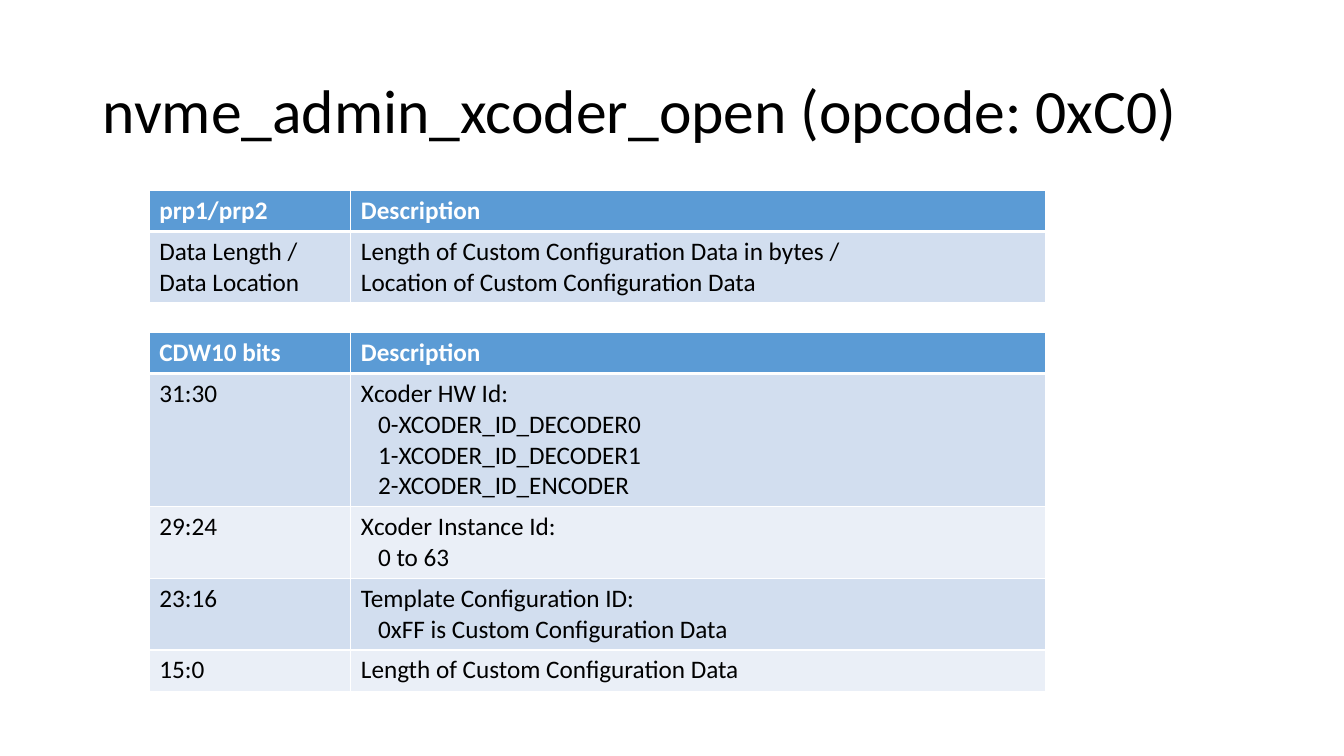
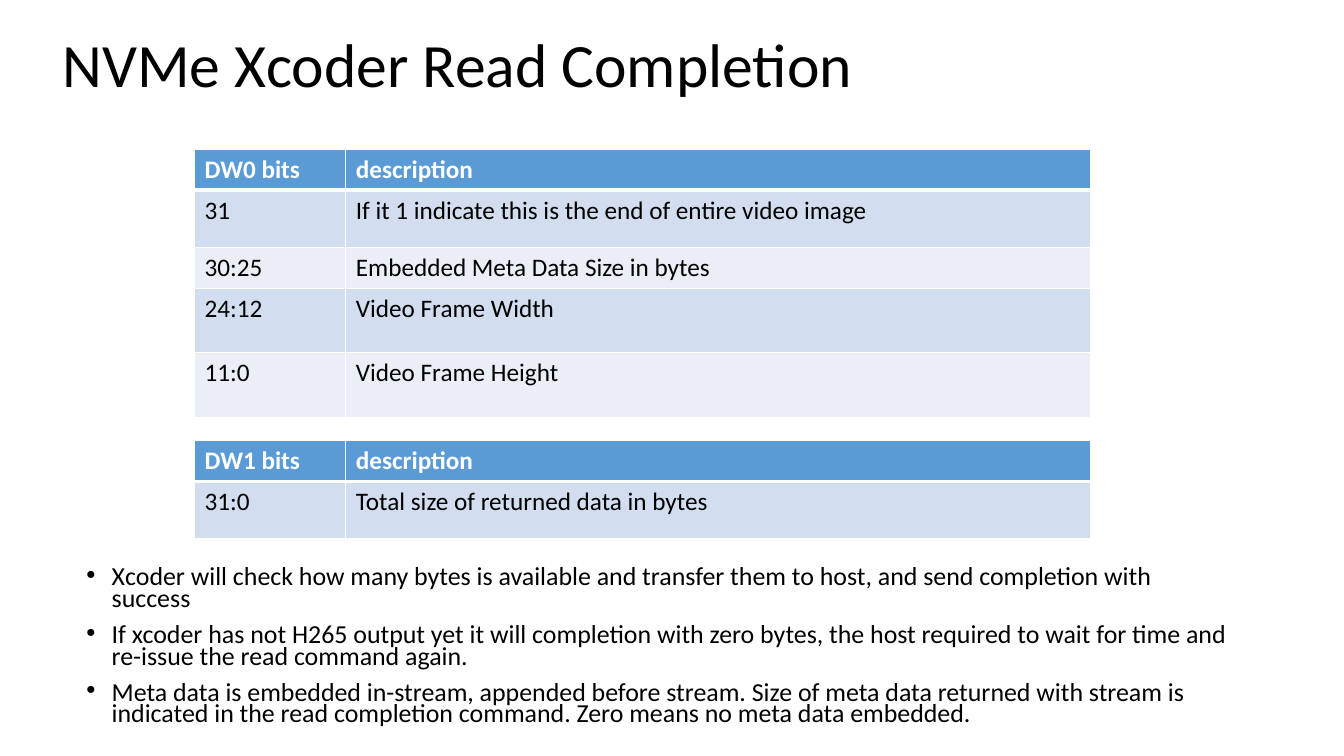
import dataclasses
import typing

import lxml.etree
import pptx
import pptx.dml.color
import pptx.enum.text
import pptx.oxml.ns
import pptx.util

EMU_PER_PX = 9144


@dataclasses.dataclass(frozen=True)
class Theme:
    font: str = "Calibri"
    text: str = "000000"
    light: str = "FFFFFF"
    header: str = "5B9BD5"
    bands: tuple[str, str] = ("D2DEEF", "EAEFF7")
    title_size: float = 44
    table_size: float = 18
    body_size: float = 18.5
    thin: float = 1
    thick: float = 3


THEME = Theme()


class Box(typing.NamedTuple):
    left: int
    top: int
    width: int
    height: int


class Row(typing.NamedTuple):
    height: int
    key: str
    lines: tuple[str, ...]
    indent: int = 0


@dataclasses.dataclass(frozen=True)
class BitTable:
    left: int
    top: int
    columns: tuple[int, int]
    rows: tuple[Row, ...]


@dataclasses.dataclass(frozen=True)
class Page:
    title: str
    title_box: Box
    tables: tuple[BitTable, ...]
    bullet_box: Box | None = None
    bullets: tuple[str, ...] = ()


PAGES = (
    Page(
        "nvme_admin_xcoder_open (opcode: 0xC0)",
        Box(92, 40, 1150, 145),
        (
            BitTable(148, 189, (200, 689), (
                Row(40, "prp1/prp2", ("Description",)),
                Row(71, "Data Length / Data Location", (
                    "Length of Custom Configuration Data in bytes /",
                    "Location of Custom Configuration Data",
                )),
            )),
            BitTable(148, 330, (200, 689), (
                Row(40, "CDW10 bits", ("Description",)),
                Row(132, "31:30", (
                    "Xcoder HW Id:",
                    "0-XCODER_ID_DECODER0",
                    "1-XCODER_ID_DECODER1",
                    "2-XCODER_ID_ENCODER",
                ), 17),
                Row(71, "29:24", ("Xcoder Instance Id:", "0 to 63"), 17),
                Row(71, "23:16", (
                    "Template Configuration ID:",
                    "0xFF is Custom Configuration Data",
                ), 17),
                Row(41, "15:0", ("Length of Custom Configuration Data",)),
            )),
        ),
    ),
    Page(
        "NVMe Xcoder Read Completion",
        Box(52, 2, 1150, 130),
        (
            BitTable(193, 148, (150, 739), (
                Row(40, "DW0 bits", ("description",)),
                Row(57, "31", ("If it 1 indicate this is the end of entire video image",)),
                Row(40, "30:25", ("Embedded Meta Data Size in bytes",)),
                Row(64, "24:12", ("Video Frame Width",)),
                Row(64, "11:0", ("Video Frame Height",)),
            )),
            BitTable(193, 437, (150, 739), (
                Row(40, "DW1 bits", ("description",)),
                Row(57, "31:0", ("Total size of returned data in bytes",)),
            )),
        ),
        Box(76, 559, 1150, 189),
        (
            "Xcoder will check how many bytes is available and transfer them to host, "
            "and send completion with success",
            "If xcoder has not H265 output yet it will completion with zero bytes, "
            "the host required to wait for time and re-issue the read command again.",
            "Meta data is embedded in-stream, appended before stream. "
            "Size of meta data returned with stream is indicated in the read completion "
            "command. Zero means no meta data embedded.",
        ),
    ),
)


def px(value: int) -> pptx.util.Emu:
    return pptx.util.Emu(value * EMU_PER_PX)


def rgb(value: str) -> pptx.dml.color.RGBColor:
    return pptx.dml.color.RGBColor.from_string(value)


def add_element(parent, tag: str, **attributes: str):
    return lxml.etree.SubElement(parent, pptx.oxml.ns.qn(tag), attributes)


def write_text(
    tf,
    lines: typing.Sequence[str],
    *,
    size: float,
    color: str = THEME.text,
    bold: bool = False,
    spacing: float | None = None,
    gap: float = 0,
    indent: int = 0,
    bullet: str = "",
) -> None:
    for index, line in enumerate(lines):
        p = tf.add_paragraph() if index else tf.paragraphs[0]
        p.alignment = pptx.enum.text.PP_ALIGN.LEFT
        if spacing:
            p.line_spacing = spacing
        if index and gap:
            p.space_before = pptx.util.Pt(gap)
        props = p._p.get_or_add_pPr()
        if indent and (index or bullet):
            props.set("marL", str(px(indent)))
        if bullet:
            props.set("indent", str(px(-indent)))
            add_element(props, "a:buFont", typeface="Arial")
            add_element(props, "a:buChar", char=bullet)
        r = p.add_run()
        r.text = line
        r.font.name = THEME.font
        r.font.size = pptx.util.Pt(size)
        r.font.bold = bold
        r.font.color.rgb = rgb(color)


def set_borders(cell, top: float, bottom: float) -> None:
    widths = {"L": THEME.thin, "R": THEME.thin, "T": top, "B": bottom}
    props = cell._tc.get_or_add_tcPr()
    for side, width in widths.items():
        line = add_element(props, f"a:ln{side}", w=str(pptx.util.Pt(width)))
        add_element(add_element(line, "a:solidFill"), "a:srgbClr", val=THEME.light)


def add_bit_table(slide, bit_table: BitTable) -> None:
    rows = bit_table.rows
    table = slide.shapes.add_table(
        len(rows), len(bit_table.columns),
        px(bit_table.left), px(bit_table.top),
        px(sum(bit_table.columns)), px(sum(row.height for row in rows)),
    ).table
    table.horz_banding = False
    for column, width in zip(table.columns, bit_table.columns):
        column.width = px(width)
    for index, row in enumerate(rows):
        table.rows[index].height = px(row.height)
        header = index == 0
        for column, lines in enumerate(((row.key,), row.lines)):
            cell = table.cell(index, column)
            set_borders(
                cell,
                top=THEME.thick if index == 1 else THEME.thin,
                bottom=THEME.thick if header else THEME.thin,
            )
            cell.fill.solid()
            cell.fill.fore_color.rgb = rgb(
                THEME.header if header else THEME.bands[(index - 1) % 2]
            )
            write_text(
                cell.text_frame, lines, size=THEME.table_size, bold=header,
                color=THEME.light if header else THEME.text, indent=row.indent,
            )


def add_title(slide, text: str, box: Box) -> None:
    sp = slide.shapes.title
    sp.left, sp.top, sp.width, sp.height = map(px, box)
    tf = sp.text_frame
    tf.auto_size = pptx.enum.text.MSO_AUTO_SIZE.NONE
    tf.vertical_anchor = pptx.enum.text.MSO_ANCHOR.MIDDLE
    write_text(tf, (text,), size=THEME.title_size, spacing=0.9)


def add_bullets(slide, lines: tuple[str, ...], box: Box) -> None:
    tf = slide.shapes.add_textbox(*map(px, box)).text_frame
    tf.word_wrap = True
    write_text(
        tf, lines, size=THEME.body_size, spacing=0.7, gap=10, indent=25, bullet="•"
    )


def main() -> None:
    prs = pptx.Presentation()
    prs.slide_width, prs.slide_height = px(1333), px(750)
    title_only = prs.slide_layouts[5]
    for page in PAGES:
        slide = prs.slides.add_slide(title_only)
        add_title(slide, page.title, page.title_box)
        for bit_table in page.tables:
            add_bit_table(slide, bit_table)
        if page.bullet_box:
            add_bullets(slide, page.bullets, page.bullet_box)
    prs.save("out.pptx")


if __name__ == "__main__":
    main()
